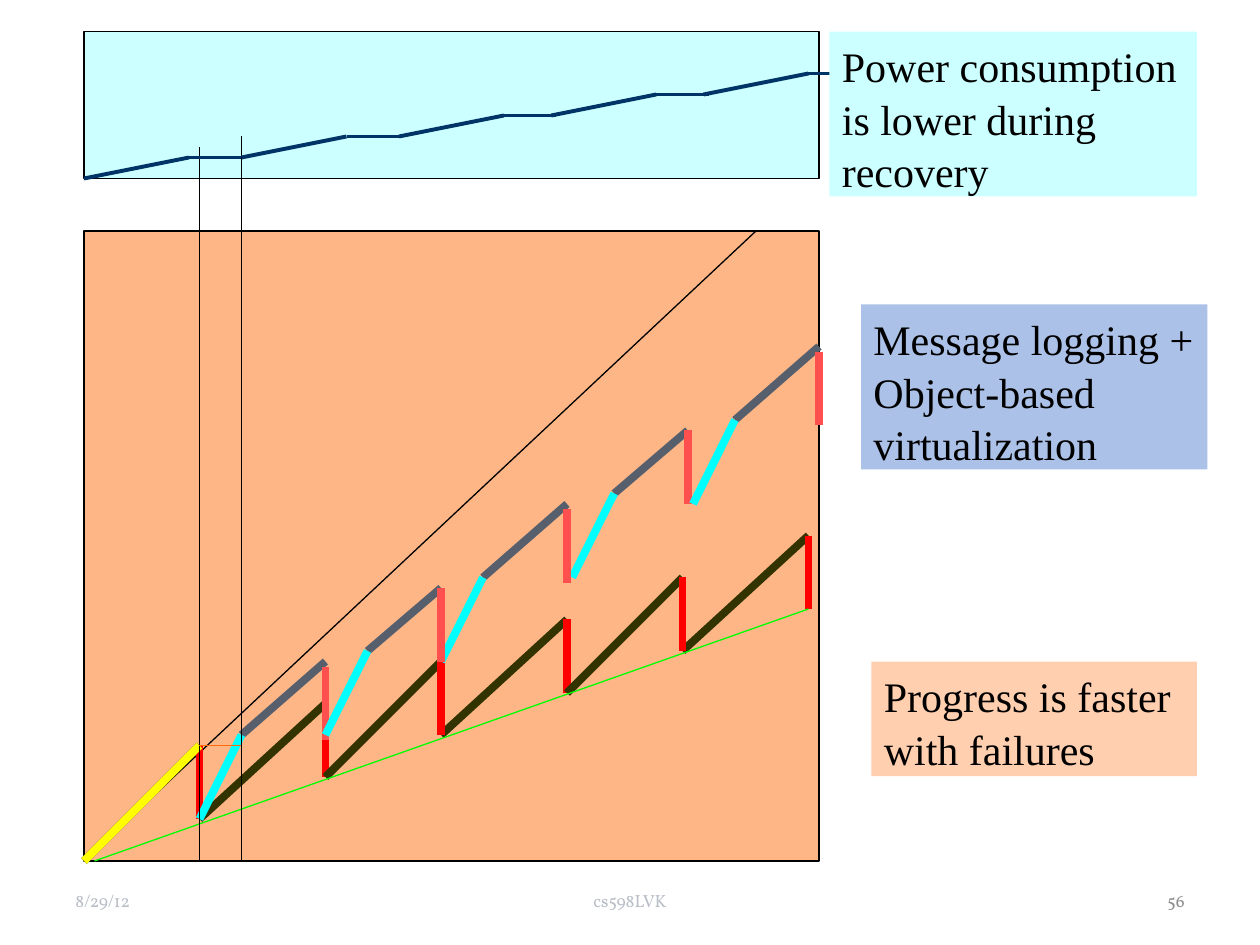
from typing import NamedTuple

from lxml.etree import SubElement
from pptx import Presentation
from pptx.dml.color import RGBColor
from pptx.enum.shapes import MSO_CONNECTOR as Conn, MSO_SHAPE as Kind
from pptx.enum.text import MSO_ANCHOR as Anchor, MSO_AUTO_SIZE as Fit, PP_ALIGN as Align
from pptx.oxml.ns import qn
from pptx.util import Pt

BLACK = RGBColor(0x00, 0x00, 0x00)
PEACH = RGBColor(0xFE, 0xB6, 0x87)
PALE_PEACH = RGBColor(0xFF, 0xCF, 0xAF)
PALE_CYAN = RGBColor(0xCC, 0xFF, 0xFF)
PALE_BLUE = RGBColor(0xAC, 0xC1, 0xE8)
OLIVE = RGBColor(0x33, 0x33, 0x00)
RED = RGBColor(0xFF, 0x00, 0x00)
ROSE = RGBColor(0xFF, 0x50, 0x50)
GREEN = RGBColor(0x00, 0xFF, 0x00)
YELLOW = RGBColor(0xFF, 0xFF, 0x00)
CYAN = RGBColor(0x00, 0xFF, 0xFF)
SLATE = RGBColor(0x57, 0x5F, 0x6D)
NAVY = RGBColor(0x00, 0x33, 0x66)
ORANGE = RGBColor(0xFF, 0x6B, 0x0A)
GREY = RGBColor(0x8C, 0x8C, 0x8C)
PALE_GREY = RGBColor(0xB9, 0xBE, 0xC7)

THIN, THICK = 0.75, 4.5
LEFT, BASE = 48, 492
DROP = 42


class Spot(NamedTuple):
    x: float
    y: float


class Box(NamedTuple):
    x: float
    y: float
    w: float
    h: float


class Note(NamedTuple):
    text: str
    box: Box
    fill: RGBColor


class Foot(NamedTuple):
    text: str
    box: Box
    align: Align
    color: RGBColor


class Cycle(NamedTuple):
    """One recovery with message logging, up to the next failure."""
    start: Spot
    peak: Spot
    fall: float


NOTES = [
    Note("Message logging + Object-based virtualization", Box(492, 174, 198, 94.3), PALE_BLUE),
    Note("Power consumption is lower during recovery", Box(474, 18, 210, 94.3), PALE_CYAN),
    Note("Progress is faster with failures", Box(498, 378, 186, 65.5), PALE_PEACH),
]
FEET = [
    Foot("8/29/12", Box(36, 500.5, 168, 28.75), Align.LEFT, PALE_GREY),
    Foot("cs598LVK", Box(246, 500.5, 228, 28.75), Align.CENTER, PALE_GREY),
    Foot("56", Box(516, 500.5, 168, 28.75), Align.RIGHT, GREY),
]
# Back to front
CYCLES = [
    Cycle(Spot(327, 330), Spot(393, 246), 246),
    Cycle(Spot(114, 468), Spot(186, 378), 381),
    Cycle(Spot(252, 378), Spot(324, 288), 291),
    Cycle(Spot(186, 420), Spot(252, 336), 336),
    Cycle(Spot(396, 288), Spot(468, 198), 201),
]
FAILS = [Spot(x, 426 - 24 * i) for i, x in enumerate((114, 186, 252, 324, 390, 462))]
STEPS = [Spot(x, 102 - 12 * i) for i, x in enumerate((48, 138, 228, 315, 402))]


def line(shapes, a: Spot, b: Spot, color: RGBColor, width: float) -> None:
    conn = shapes.add_connector(Conn.STRAIGHT, Pt(a.x), Pt(a.y), Pt(b.x), Pt(b.y))
    conn.line.color.rgb = color
    conn.line.width = Pt(width)
    SubElement(conn.element.spPr, qn("a:effectLst"))


def panel(shapes, box: Box, fill: RGBColor):
    shape = shapes.add_shape(Kind.RECTANGLE, *map(Pt, box))
    shape.shadow.inherit = False
    shape.fill.solid()
    shape.fill.fore_color.rgb = fill
    return shape


def frame(shapes, box: Box, fill: RGBColor) -> None:
    edge = panel(shapes, box, fill).line
    edge.color.rgb = BLACK
    edge.width = Pt(THIN)


def write(shape, text: str, font: str, size: float, color: RGBColor, align: Align):
    body = shape.text_frame
    body.text = text
    body.word_wrap = True
    para = body.paragraphs[0]
    para.alignment = align
    face = para.runs[0].font
    face.name = font
    face.size = Pt(size)
    face.color.rgb = color
    return body


def note(shapes, item: Note) -> None:
    shape = panel(shapes, item.box, item.fill)
    shape.line.fill.background()
    body = write(shape, item.text, "Times New Roman", 24, BLACK, Align.LEFT)
    body.vertical_anchor = Anchor.TOP
    body.auto_size = Fit.SHAPE_TO_FIT_TEXT
    body.paragraphs[0].line_spacing = 1.05


def foot(shapes, item: Foot) -> None:
    shape = shapes.add_textbox(*map(Pt, item.box))
    body = write(shape, item.text, "Vollkorn", 10, item.color, item.align)
    body.vertical_anchor = Anchor.MIDDLE


def restart(shapes) -> None:
    """Progress that falls back to a checkpoint at each failure."""
    lows = [Spot(p.x, p.y + DROP) for p in FAILS]
    rises = list(zip([Spot(LEFT, BASE)] + lows, FAILS))
    falls = list(zip(lows, FAILS))
    for i in range(0, len(FAILS), 2):
        for pairs, color in ((rises, OLIVE), (falls, RED)):
            for a, b in pairs[i:i + 2]:
                line(shapes, a, b, color, THICK)


def logged(shapes, cycle: Cycle) -> None:
    start, peak, fall = cycle
    bend = Spot(start.x + 24, start.y - 48)
    line(shapes, bend, peak, SLATE, THICK)
    line(shapes, Spot(peak.x, fall + DROP), Spot(peak.x, fall), ROSE, THICK)
    line(shapes, start, bend, CYAN, THICK)


def power(shapes, step: Spot) -> None:
    top = Spot(step.x + 60, step.y - 12)
    line(shapes, step, top, NAVY, 2.25)
    line(shapes, top, Spot(top.x + 30, top.y), NAVY, 2.25)


def main() -> None:
    prs = Presentation()
    prs.slide_width, prs.slide_height = Pt(720), Pt(540)
    shapes = prs.slides.add_slide(prs.slide_layouts[6]).shapes

    origin, first = Spot(LEFT, BASE), FAILS[0]
    frame(shapes, Box(LEFT, 132, 420, 360), PEACH)
    line(shapes, origin, Spot(432, 132), BLACK, THIN)
    restart(shapes)
    line(shapes, Spot(54, BASE), Spot(462, 348), GREEN, THIN)
    frame(shapes, Box(LEFT, 18, 420, 84), PALE_CYAN)
    line(shapes, origin, first, YELLOW, THICK)
    for cycle in CYCLES:
        logged(shapes, cycle)
    for x, top in ((114, 84), (138, 78)):
        line(shapes, Spot(x, BASE), Spot(x, top), BLACK, THIN)
    for step in STEPS:
        power(shapes, step)
    line(shapes, first, Spot(138, first.y), ORANGE, 1)
    for item in NOTES:
        note(shapes, item)
    for item in FEET:
        foot(shapes, item)
    prs.save("out.pptx")


if __name__ == "__main__":
    main()
